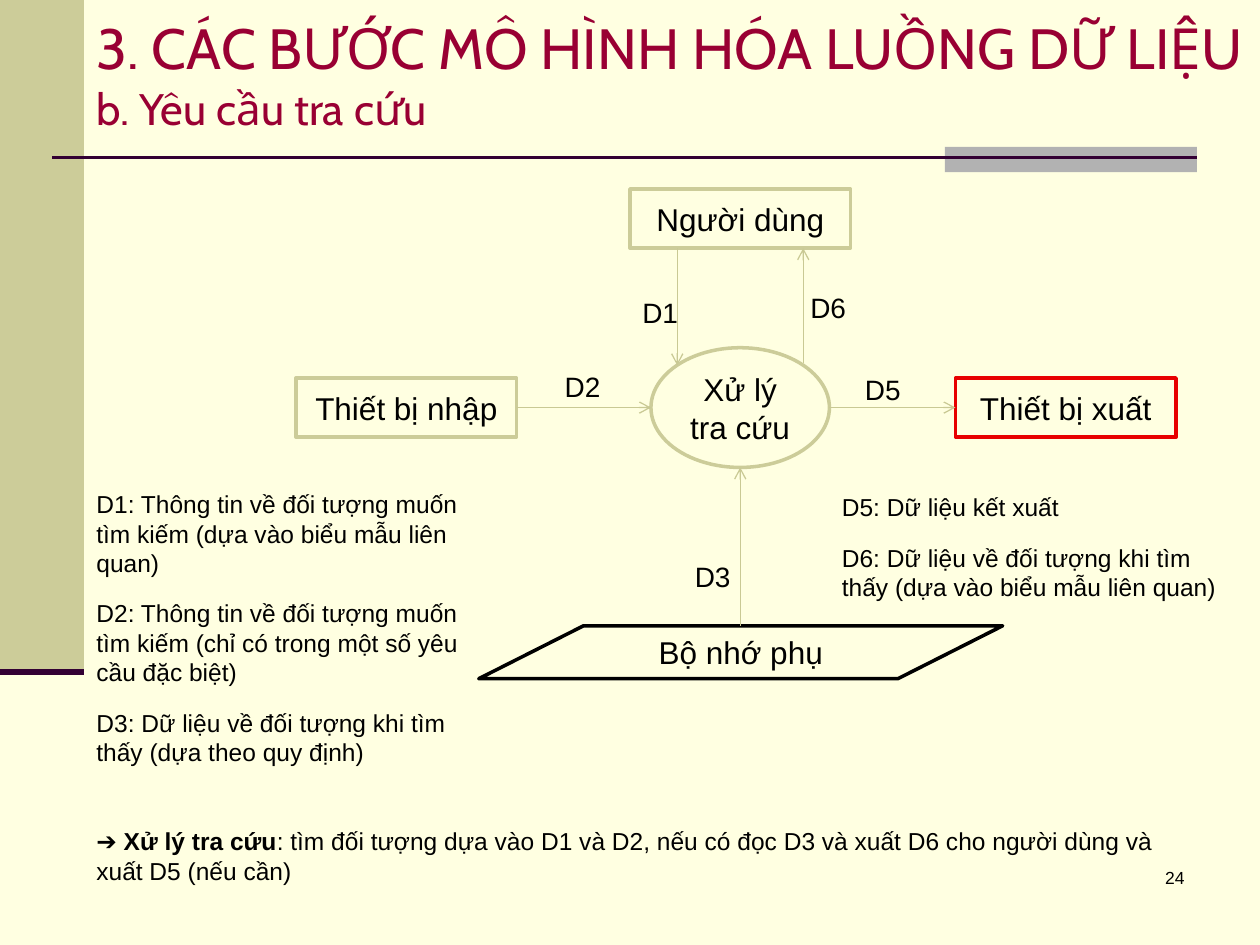
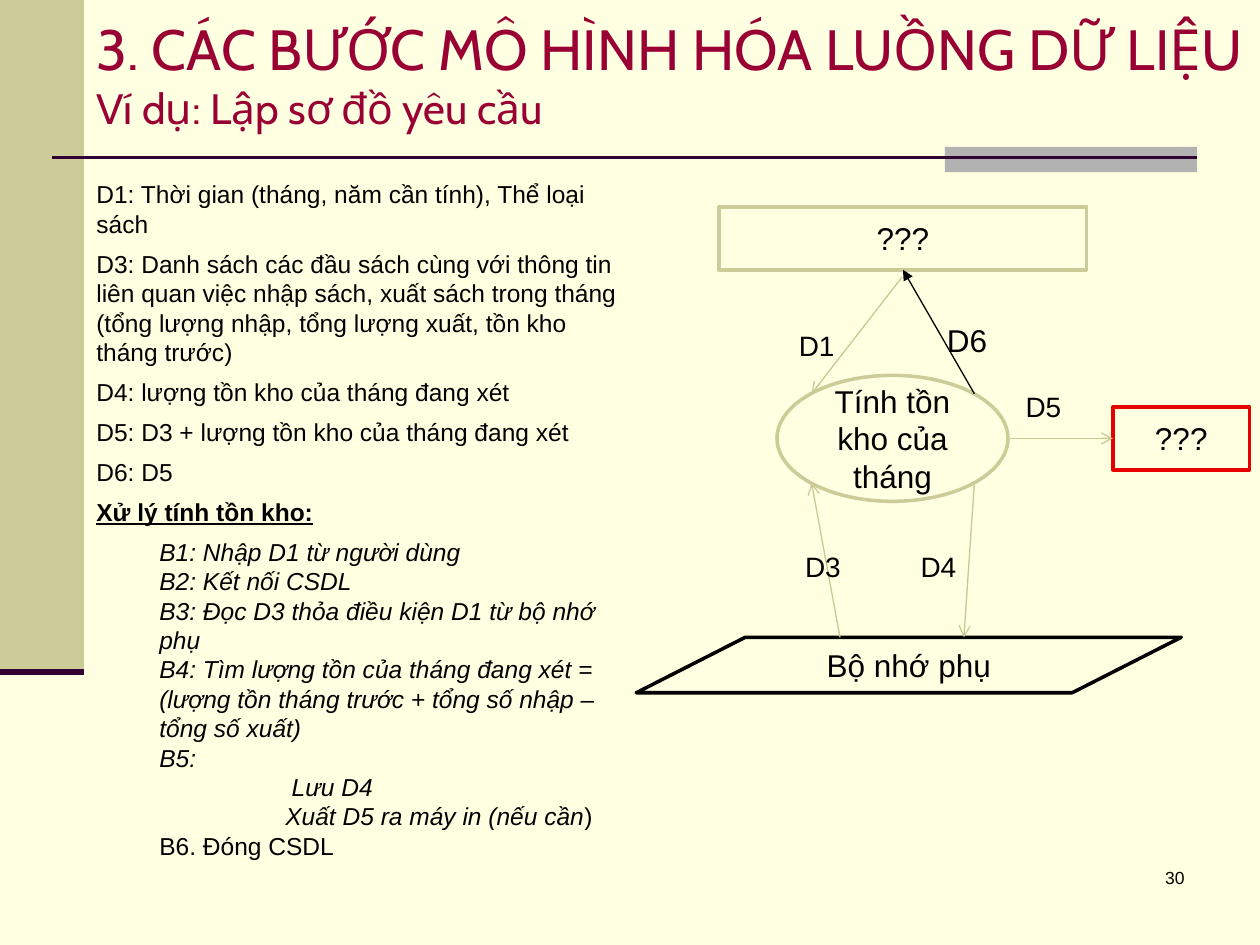
from dataclasses import dataclass

from lxml import etree
from pptx import Presentation
from pptx import util as u
from pptx.dml.color import RGBColor
from pptx.enum import shapes, text
from pptx.oxml.ns import qn

COLUMNS, ROWS = 120, 90
TITLE_ONLY = 5
TOP, LEFT, BOTTOM, RIGHT = range(4)
KIND = shapes.MSO_SHAPE


@dataclass(frozen=True)
class Theme:
    paper: str = "FFFFE1"
    ink: str = "000000"
    title: str = "990033"
    band: str = "CCCC99"
    accent: str = "B2B2B2"
    rule: str = "330033"
    arrow: str = "C9C994"
    alert: str = "E70000"
    body_font: str = "Arial"
    title_font: str = "Cabin"
    title_size: float = 32.4
    node_size: float = 18
    label_size: float = 16
    body_size: float = 14
    number_size: float = 10
    node_line: float = 2
    arrow_line: float = 0.75
    title_rule: float = 1.5
    band_rule: float = 3.5
    node_inset: float = 0.08


@dataclass(frozen=True)
class Line:
    spans: tuple
    before: float = 6
    after: float = 0
    indent: float = 0


class Deck:
    def __init__(self, theme):
        self.theme = theme
        self.deck = Presentation()
        self.deck.slide_width, self.deck.slide_height = u.Inches(10), u.Inches(7.5)
        fill = self.deck.slide_master.background.fill
        fill.solid()
        fill.fore_color.rgb = RGBColor.from_string(theme.paper)
        self.page = None

    def x(self, column):
        return round(self.deck.slide_width * column / COLUMNS)

    def y(self, row):
        return round(self.deck.slide_height * row / ROWS)

    def area(self, left, top, width, height):
        return self.x(left), self.y(top), self.x(width), self.y(height)

    def style(self, span, size, color=None, font=None, flags=""):
        span.font.size = u.Pt(size)
        span.font.name = font or self.theme.body_font
        span.font.color.rgb = RGBColor.from_string(color or self.theme.ink)
        if flags:
            span.font.bold = "b" in flags
            span.font.italic = "i" in flags
            span.font.underline = "u" in flags

    def start(self, subtitle, subtitle_size, number):
        theme = self.theme
        self.page = self.deck.slides.add_slide(self.deck.slide_layouts[TITLE_ONLY])
        self.block(KIND.RECTANGLE, (0, 0, 8, 64), theme.band)
        self.block(KIND.RECTANGLE, (90, 14, 24, 2.4), theme.accent)
        self.line((5, 15), (114, 15), theme.rule, theme.title_rule)
        self.line((0, 64), (8, 64), theme.rule, theme.band_rule)

        title = self.page.shapes.title
        title.left, title.top, title.width, title.height = self.area(8, 0, 112, 14)
        frame = title.text_frame
        frame.text = f"3. CÁC BƯỚC MÔ HÌNH HÓA LUỒNG DỮ LIỆU\v{subtitle}"
        frame.auto_size = text.MSO_AUTO_SIZE.NONE
        frame.vertical_anchor = text.MSO_ANCHOR.MIDDLE
        frame.margin_right = 0
        para = frame.paragraphs[0]
        para.alignment = text.PP_ALIGN.LEFT
        for span, size in zip(para.runs, (theme.title_size, subtitle_size)):
            self.style(span, size, theme.title, theme.title_font)

        box = self.label(number, (89, 82), theme.number_size, (25, 6))
        box.text_frame.paragraphs[0].alignment = text.PP_ALIGN.RIGHT

    def block(self, kind, area, fill, outline=None):
        shape = self.page.shapes.add_shape(kind, *self.area(*area))
        shape.shadow.inherit = False
        shape.fill.solid()
        shape.fill.fore_color.rgb = RGBColor.from_string(fill)
        if outline:
            shape.line.color.rgb = RGBColor.from_string(outline)
            shape.line.width = u.Pt(self.theme.node_line)
        else:
            shape.line.fill.background()
        return shape

    def node(self, words, area, kind=KIND.RECTANGLE, outline=None):
        shape = self.block(kind, area, self.theme.paper, outline or self.theme.band)
        frame = shape.text_frame
        frame.text = words
        frame.word_wrap = True
        frame.vertical_anchor = text.MSO_ANCHOR.MIDDLE
        frame.margin_left = frame.margin_right = u.Inches(self.theme.node_inset)
        para = frame.paragraphs[0]
        para.alignment = text.PP_ALIGN.CENTER
        self.style(para.runs[0], self.theme.node_size)
        return shape

    def line(self, start, end, color, width):
        connector = self.page.shapes.add_connector(
            shapes.MSO_CONNECTOR.STRAIGHT,
            self.x(start[0]), self.y(start[1]), self.x(end[0]), self.y(end[1]))
        connector.line.color.rgb = RGBColor.from_string(color)
        connector.line.width = u.Pt(width)
        etree.SubElement(connector.element.spPr, qn("a:effectLst"))
        return connector

    def arrow(self, start, end, begin=None, finish=None, color=None, head="arrow"):
        connector = self.line(start, end, color or self.theme.arrow, self.theme.arrow_line)
        outline = connector.element.spPr.find(qn("a:ln"))
        etree.SubElement(outline, qn("a:tailEnd")).set("type", head)
        if begin:
            connector.begin_connect(*begin)
        if finish:
            connector.end_connect(*finish)

    def label(self, words, place, size=None, extent=(6, 4.2)):
        box = self.page.shapes.add_textbox(*self.area(*place, *extent))
        box.text_frame.text = words
        box.text_frame.word_wrap = True
        self.style(box.text_frame.paragraphs[0].runs[0], size or self.theme.label_size)
        return box

    def notes(self, lines, area):
        frame = self.page.shapes.add_textbox(*self.area(*area)).text_frame
        frame.word_wrap = True
        for index, line in enumerate(lines):
            para = frame.add_paragraph() if index else frame.paragraphs[0]
            para.space_before, para.space_after = u.Pt(line.before), u.Pt(line.after)
            if line.indent:
                properties = para._p.get_or_add_pPr()
                properties.set("marL", str(u.Inches(line.indent)))
                properties.set("indent", "0")
            for words, flags in line.spans:
                span = para.add_run()
                span.text = words
                self.style(span, self.theme.body_size, flags=flags)


def plain(words, after=0):
    return Line(((words, ""),), after=after)


def step(words, flags="i", indent=0.5):
    return Line(((words, flags),), before=0, indent=indent)


def lookup_slide(deck):
    theme = deck.theme
    deck.start("b. Yêu cầu tra cứu", 25.2, "24")
    deck.notes([plain(words, 6) for words in (
        "D1: Thông tin về đối tượng muốn tìm kiếm (dựa vào biểu mẫu liên quan)",
        "D2: Thông tin về đối tượng muốn tìm kiếm (chỉ có trong một số yêu cầu đặc biệt)",
        "D3: Dữ liệu về đối tượng khi tìm thấy (dựa theo quy định)",
    )], (8, 46, 37.1, 27.8))
    deck.notes([plain(words, 6) for words in (
        "D5: Dữ liệu kết xuất",
        "D6: Dữ liệu về đối tượng khi tìm thấy (dựa vào biểu mẫu liên quan)",
    )], (79, 46.3, 39.1, 11.8))
    deck.notes([Line((
        ("➔ ", ""),
        ("Xử lý tra cứu", "b"),
        (": tìm đối tượng dựa vào D1 và D2, nếu có đọc D3 và xuất D6 cho người dùng "
         "và xuất D5 (nếu cần)", ""),
    ), after=6)], (8, 78.1, 107, 6.8))

    width, height, device_top, user_top = 21, 5.64, 36, 18
    middle, user_bottom = device_top + height / 2, user_top + height
    memory_top = 59.6
    deck.node("Bộ nhớ phụ", (45.6, memory_top, 49.9, 5.04), KIND.FLOWCHART_DATA, theme.ink)
    deck.node("Xử lý tra cứu", (62, middle - 5.7, 17, 11.4), KIND.OVAL)
    source = deck.node("Thiết bị nhập", (28.2, device_top, width, height))
    output = deck.node("Thiết bị xuất", (91, device_top, width, height), outline=theme.alert)
    deck.node("Người dùng", (60, user_top, width, height))

    deck.arrow((49.2, middle), (62, middle), begin=(source, RIGHT))
    deck.arrow((64.5, user_bottom), (64.5, 34.8))
    deck.arrow((79, middle), (91, middle), finish=(output, LEFT))
    deck.arrow((70.5, memory_top), (70.5, middle + 5.7))
    deck.arrow((76.5, 34.6), (76.5, user_bottom))
    for words, place in (("D1", (60, 27.6)), ("D2", (52.6, 34.6)), ("D3", (65, 52.7)),
                         ("D5", (81.2, 34.9)), ("D6", (76, 27.1))):
        deck.label(words, place)


def stock_slide(deck):
    theme = deck.theme
    deck.start("Ví dụ: Lập sơ đồ yêu cầu", 24.3, "30")
    middle, memory_top = 41.75, 60.7
    target = deck.node("???", (68.5, 19.7, 35, 6))
    deck.node("Tính tồn kho của tháng", (74, middle - 6, 22, 12), KIND.OVAL)
    output = deck.node("???", (106, middle - 3, 13, 6), outline=theme.alert)
    deck.node("Bộ nhớ phụ", (60.6, memory_top, 51.9, 5.28), KIND.FLOWCHART_DATA, theme.ink)

    deck.arrow((85.9, 26.4), (77.3, 37.5))
    deck.arrow((96, middle), (106, middle), finish=(output, LEFT))
    deck.arrow((92.8, 46), (91.8, memory_top))
    deck.arrow((80, memory_top), (77.3, 46))
    deck.arrow((92.8, 37.5), (86, 25.7), finish=(target, BOTTOM),
               color=theme.ink, head="triangle")
    for words, place in (("D1", (74.9, 30.7)), ("D3", (75.5, 51.7)),
                         ("D4", (86.5, 51.7)), ("D5", (96.5, 36.5))):
        deck.label(words, place)
    deck.label("D6", (89, 30), theme.node_size, (6.7, 4.8))

    deck.notes([
        plain("D1: Thời gian (tháng, năm cần tính), Thể loại sách"),
        plain("D3: Danh sách các đầu sách cùng với thông tin liên quan việc nhập sách, "
              "xuất sách trong tháng (tổng lượng nhập, tổng lượng xuất, tồn kho tháng trước)"),
        plain("D4: lượng tồn kho của tháng đang xét"),
        plain("D5: D3 + lượng tồn kho của tháng đang xét"),
        plain("D6: D5"),
        Line((("Xử lý tính tồn kho:", "bu"),), after=6),
        step("B1: Nhập D1 từ người dùng"),
        step("B2: Kết nối CSDL"),
        step("B3: Đọc D3 thỏa điều kiện D1 từ bộ nhớ phụ"),
        step("B4: Tìm lượng tồn của tháng đang xét = (lượng tồn tháng trước + "
             "tổng số nhập – tổng số xuất)"),
        step("B5:"),
        step("Lưu D4", indent=1.55),
        Line((("Xuất D5 ra máy in (nếu cần", "i"), (")", "")), before=0, indent=1.5),
        step("B6. Đóng CSDL", ""),
    ], (8, 16.5, 52.1, 66.6))


def main():
    deck = Deck(Theme())
    lookup_slide(deck)
    stock_slide(deck)
    deck.deck.save("out.pptx")


if __name__ == "__main__":
    main()
